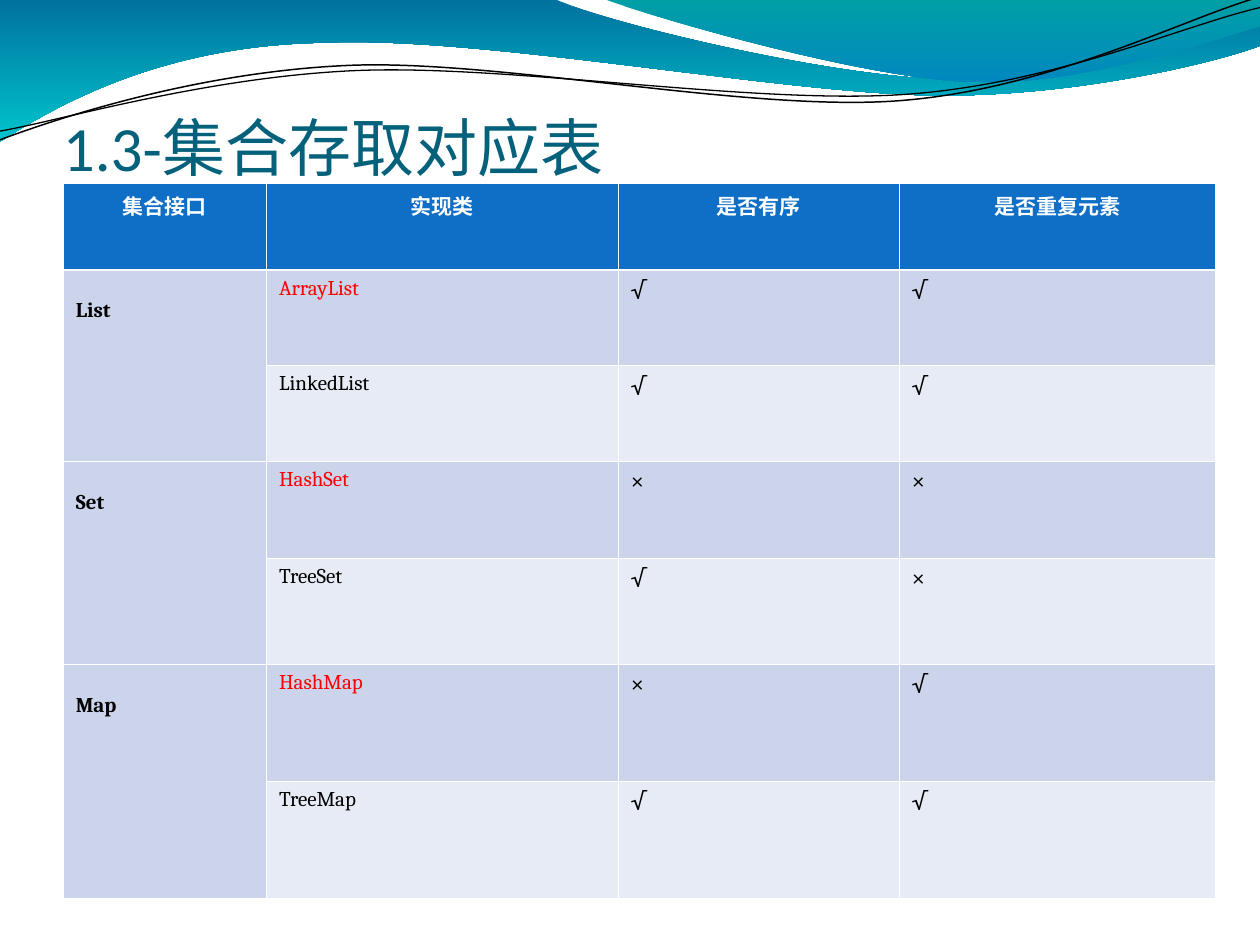
from lxml.etree import SubElement
from pptx import Presentation
from pptx.dml.color import RGBColor
from pptx.enum.text import MSO_ANCHOR as Anchor, PP_ALIGN as Align
from pptx.oxml.ns import qn
from pptx.util import Pt

WAVES = [
    (((0, 0), [
        [(316.8, -0.7)],
        [(342.7, 12.2), (478.1, 45.4), (545.8, 45.4)],
        [(614.2, 45.4), (689.8, 18.7), (720, 6.5)],
        [(720.7, 25.9)],
        [(707.8, 31.7), (626.4, 54.7), (537.1, 54.7)],
        [(447.8, 54), (275, 20.2), (185, 24.5)],
        [(92.9, 25.9), (33.1, 59.8), (-0.7, 81.4)],
    ]), ("00729E", "00C4CD")),
    (((344.9, -0.7), [
        [(366.5, 7.9), (491, 44.6), (553.7, 46.8)],
        [(616.3, 49.7), (691.9, 23), (720, 15.1)],
        [(720, 0)],
    ]), ("009FA6", "0089BE")),
]
STRANDS = [
    (((0, 79.9), [
        [(34.6, 67), (113.8, 41), (199.4, 37.4)],
        [(284.4, 33.8), (427, 64.1), (513.4, 57.6)],
        [(599.8, 51.1), (676.1, 10.8), (718.6, -1.4)],
    ]), 0.85),
    (((0, 74.9), [
        [(33.8, 69.1), (118.1, 43.9), (203.8, 40.3)],
        [(290.2, 36.7), (429.8, 59.8), (516.2, 54)],
        [(601.9, 48.2), (674, 15.1), (720, 4.3)],
    ]), 0.75),
]
HEADINGS = ["集合接口", "实现类", "是否有序", "是否重复元素"]
COLLECTIONS = [
    ("List", "ArrayList", "√", "√"),
    ("", "LinkedList", "√", "√"),
    ("Set", "HashSet", "×", "×"),
    ("", "TreeSet", "√", "×"),
    ("Map", "HashMap", "×", "√"),
    ("", "TreeMap", "√", "√"),
]
COLUMN_WIDTHS = [116.2, 200.9, 160.6, 180.7]
ROW_HEIGHTS = [49.4, 54.8, 54.8, 55.2, 60.8, 66.5, 67.3]


def colour(value):
    return RGBColor.from_string(value)


def set_font(paragraph, name, size, ink, bold=False):
    font = paragraph.font
    font.name, font.size, font.bold = name, Pt(size), bold
    font.color.rgb = colour(ink)


def draw_outline(slide, left, top, path, close):
    start, segments = path
    builder = slide.shapes.build_freeform(Pt(left + start[0]), Pt(top + start[1]))
    builder.add_line_segments(
        [(Pt(left + x), Pt(top + y)) for x, y in (segment[-1] for segment in segments)],
        close=close)
    outline = builder.convert_to_shape()
    outline.shadow.inherit = False
    edges = list(outline._element.iter(qn("a:lnTo")))
    for edge, segment in zip(edges, segments):
        if len(segment) == 3:
            curve = edge.makeelement(qn("a:cubicBezTo"))
            for x, y in segment:
                SubElement(curve, qn("a:pt"),
                           x=str(Pt(left + x) - outline.left),
                           y=str(Pt(top + y) - outline.top))
            edge.getparent().replace(edge, curve)
    return outline


def add_waves(slide, left, top):
    for path, stops in WAVES:
        wave = draw_outline(slide, left, top, path, True)
        wave.line.fill.background()
        wave.fill.gradient()
        wave.fill.gradient_angle = 270
        for stop, value in zip(wave.fill.gradient_stops, stops):
            stop.color.rgb = colour(value)
    for path, weight in STRANDS:
        strand = draw_outline(slide, left, top, path, False)
        strand.fill.background()
        strand.line.color.rgb = colour("000000")
        strand.line.width = Pt(weight)


def add_title(slide, left, top, width, height):
    frame = slide.shapes.add_textbox(Pt(left), Pt(top), Pt(width), Pt(height)).text_frame
    frame.word_wrap = True
    frame.vertical_anchor = Anchor.BOTTOM
    frame.margin_left = frame.margin_right = frame.margin_bottom = 0
    title = frame.paragraphs[0]
    title.text = "1.3-集合存取对应表"
    set_font(title, "Calibri", 36, "04617B")


def set_borders(cell, top, bottom):
    properties = cell._tc.get_or_add_tcPr()
    for side, weight in (("L", 0.45), ("R", 0.45), ("T", top), ("B", bottom)):
        border = SubElement(properties, qn(f"a:ln{side}"), w=str(Pt(weight)))
        fill = SubElement(border, qn("a:solidFill"))
        SubElement(fill, qn("a:srgbClr"), val="FFFFFF")


def fill_cell(cell, row, column, text):
    set_borders(cell, 1.47 if row == 1 else 0.45, 1.47 if row == 0 else 0.45)
    plain = "CBD4EA" if row % 2 or column == 0 else "E7EBF5"
    cell.fill.solid()
    cell.fill.fore_color.rgb = colour("0F6FC6" if row == 0 else plain)
    entry = cell.text_frame.paragraphs[0]
    entry.text = text
    if row == 0:
        entry.alignment = Align.CENTER
        set_font(entry, "Cambria", 12, "FFFFFF", True)
    elif column == 0:
        cell.margin_top = Pt(16.75)
        set_font(entry, "Cambria", 12, "000000", True)
    elif column == 1:
        set_font(entry, "Cambria", 12, "FF0000" if row % 2 else "000000")
    else:
        set_font(entry, "Cambria", 14, "000000")


def add_collection_table(slide, left, top):
    rows = [HEADINGS, *COLLECTIONS]
    table = slide.shapes.add_table(
        len(rows), len(HEADINGS), Pt(left), Pt(top),
        Pt(sum(COLUMN_WIDTHS)), Pt(sum(ROW_HEIGHTS))).table
    table.horz_banding = False
    for column, width in zip(table.columns, COLUMN_WIDTHS):
        column.width = Pt(width)
    for row, height in zip(table.rows, ROW_HEIGHTS):
        row.height = Pt(height)
    for row, texts in enumerate(rows):
        for column, text in enumerate(texts):
            fill_cell(table.cell(row, column), row, column, text)
    for row in range(1, len(rows), 2):
        table.cell(row, 0).merge(table.cell(row + 1, 0))


def main():
    deck = Presentation()
    deck.slide_width, deck.slide_height = Pt(720), Pt(540)
    slide = deck.slides.add_slide(deck.slide_layouts[6])
    add_waves(slide, 0, 0)
    add_title(slide, 36, 15, 648, 90)
    add_collection_table(slide, 36.1, 104.8)
    deck.save("out.pptx")


if __name__ == "__main__":
    main()
